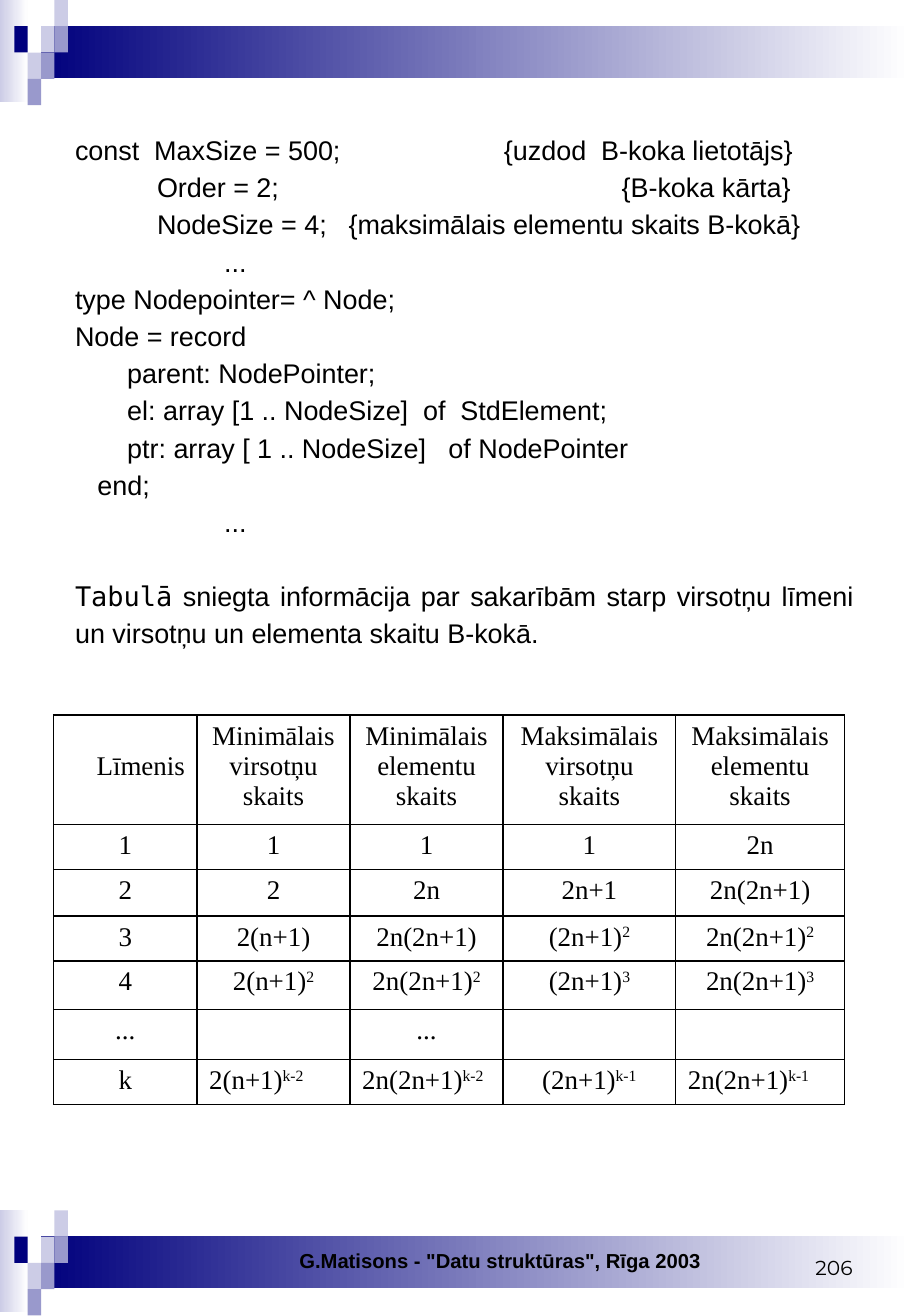
"""Build the B-tree declarations slide with its table of level bounds."""
from dataclasses import dataclass

from lxml.etree import SubElement
from pptx import Presentation
from pptx.dml.color import RGBColor
from pptx.enum.shapes import MSO_SHAPE
from pptx.enum.text import MSO_ANCHOR, PP_ALIGN
from pptx.oxml import parse_xml
from pptx.oxml.ns import nsdecls, qn
from pptx.util import Cm, Pt


@dataclass(frozen=True)
class Theme:
    navy: RGBColor = RGBColor(0x00, 0x00, 0x7D)
    violet: RGBColor = RGBColor(0x99, 0x99, 0xCC)
    lilac: RGBColor = RGBColor(0xCC, 0xCC, 0xE6)
    white: RGBColor = RGBColor(0xFF, 0xFF, 0xFF)
    black: RGBColor = RGBColor(0x00, 0x00, 0x00)
    body_size: Pt = Pt(16)
    footer_size: Pt = Pt(12)


theme = Theme()
body_format = {"name": "Arial", "size": theme.body_size}
mono_format = {"name": "DejaVu Sans Mono", "size": theme.body_size}
table_format = {"name": "Times New Roman", "size": theme.body_size}
footer_format = {"name": "Arial", "size": theme.footer_size, "bold": True}
number_format = {"name": "Montserrat", "size": theme.footer_size}


def add_span(para, text, values):
    span = para.add_run()
    span.text = text
    for name, value in values.items():
        setattr(span.font, name, value)
    span.font.color.rgb = theme.black
    return span


def add_block(left, top, width, height, color, fades=False):
    block = page.shapes.add_shape(MSO_SHAPE.RECTANGLE, Cm(left), Cm(top), Cm(width), Cm(height))
    block.shadow.inherit = False
    block.line.fill.background()
    if fades:
        block.fill.gradient()
        block.fill.gradient_angle = 0
        for stop, stop_color in zip(block.fill.gradient_stops, (color, theme.white)):
            stop.color.rgb = stop_color
    else:
        block.fill.solid()
        block.fill.fore_color.rgb = color


deck = Presentation()
deck.slide_width, deck.slide_height = Cm(19.05), Cm(27.53)
page = deck.slides.add_slide(deck.slide_layouts[6])

tiles = [
    (2, 1, theme.lilac), (3, 0, theme.lilac), (3, 1, theme.violet), (1, 2, theme.lilac),
    (0, 1, theme.navy), (2, 2, theme.violet), (1, 3, theme.violet),
]
for band_top in (25.32, 0):
    add_block(0, band_top, 0.58, 2.13, theme.lilac, fades=True)
    add_block(0.86, band_top + 0.54, 18.19, 1.09, theme.navy, fades=True)
    for column, row, color in tiles:
        add_block(0.3 + 0.28 * column, band_top + 0.55 * row, 0.28, 0.55, color)

code_lines = [
    ("const  MaxSize = 500;\t{uzdod  B-koka lietotājs}", 8.97),
    ("           Order = 2;\t{B-koka kārta}", 11.43),
    ("           NodeSize = 4;\t{maksimālais elementu skaits B-kokā}", 5.72),
    ("                    ...", None),
    ("type Nodepointer= ^ Node;", None),
    ("Node = record", None),
    ("       parent: NodePointer;", None),
    ("       el: array [1 .. NodeSize]  of  StdElement;", None),
    ("       ptr: array [ 1 .. NodeSize]   of NodePointer", None),
    ("   end;", None),
    ("                    ...", None),
]
box = page.shapes.add_textbox(Cm(1.32), Cm(2.57), Cm(16.79), Cm(11.4))
frame = box.text_frame
frame.word_wrap = True
for index, (line, comment_tab) in enumerate(code_lines):
    para = frame.add_paragraph() if index else frame.paragraphs[0]
    para.line_spacing = 1.15
    if comment_tab:
        tabs = SubElement(para._p.get_or_add_pPr(), qn("a:tabLst"))
        SubElement(tabs, qn("a:tab"), pos=str(Cm(comment_tab)), algn="l")
    add_span(para, line, body_format)

para = frame.add_paragraph()
para.line_spacing = 1.15
para.space_before = Pt(22)
para.alignment = PP_ALIGN.JUSTIFY
add_span(para, "Tabulā", mono_format)
add_span(
    para,
    " sniegta informācija par sakarībām starp virsotņu līmeni"
    " un virsotņu un elementa skaitu B-kokā.",
    body_format,
)

level_rows = [
    ["Līmenis", "Minimālais virsotņu skaits", "Minimālais elementu skaits",
     "Maksimālais virsotņu skaits", "Maksimālais elementu skaits"],
    ["1", "1", "1", "1", "2n"],
    ["2", "2", "2n", "2n+1", "2n(2n+1)"],
    ["3", "2(n+1)", "2n(2n+1)", "(2n+1)^2", "2n(2n+1)^2"],
    ["4", "2(n+1)^2", "2n(2n+1)^2", "(2n+1)^3", "2n(2n+1)^3"],
    ["...", "", "...", "", ""],
    ["k", "2(n+1)^k-2", "2n(2n+1)^k-2", "(2n+1)^k-1", "2n(2n+1)^k-1"],
]
column_widths = [3.0, 3.2, 3.2, 3.61, 3.53]
row_heights = [2.29, 0.94, 0.97, 0.94, 1.02, 1.04, 0.94]
alignments = {(0, 0): PP_ALIGN.RIGHT}
alignments.update({(6, column): PP_ALIGN.LEFT for column in (1, 2, 4)})

table = page.shapes.add_table(
    len(row_heights), len(column_widths), Cm(1.12), Cm(14.96),
    Cm(sum(column_widths)), Cm(sum(row_heights)),
).table
table.first_row = table.horz_banding = False
for column, width in zip(table.columns, column_widths):
    column.width = Cm(width)
for row, height in zip(table.rows, row_heights):
    row.height = Cm(height)

for row_index, row_texts in enumerate(level_rows):
    for column_index, text in enumerate(row_texts):
        cell = table.cell(row_index, column_index)
        cell.fill.background()
        for order, side in enumerate(("lnL", "lnR", "lnT", "lnB")):
            border = parse_xml(
                f'<a:{side} {nsdecls("a")} w="{Pt(0.96)}"><a:solidFill>'
                f'<a:srgbClr val="{theme.black}"/></a:solidFill></a:{side}>'
            )
            cell._tc.get_or_add_tcPr().insert(order, border)
        para = cell.text_frame.paragraphs[0]
        para.alignment = alignments.get((row_index, column_index), PP_ALIGN.CENTER)
        base, _, power = text.partition("^")
        if base:
            add_span(para, base, table_format)
        if power:
            exponent = add_span(para, power, table_format)
            exponent._r.get_or_add_rPr().set("baseline", "30000")
table.cell(0, 0).margin_top = Cm(0.76)

footers = [
    (2.31, 12.6, 0.79, 'G.Matisons - "Datu struktūras", Rīga 2003', footer_format),
    (15.11, 2.97, 0.94, "206", number_format),
]
for left, width, height, text, values in footers:
    box = page.shapes.add_textbox(Cm(left), Cm(25.96), Cm(width), Cm(height))
    box.text_frame.word_wrap = True
    box.text_frame.vertical_anchor = MSO_ANCHOR.BOTTOM
    para = box.text_frame.paragraphs[0]
    para.alignment = PP_ALIGN.RIGHT
    add_span(para, text, values)

deck.save("out.pptx")
